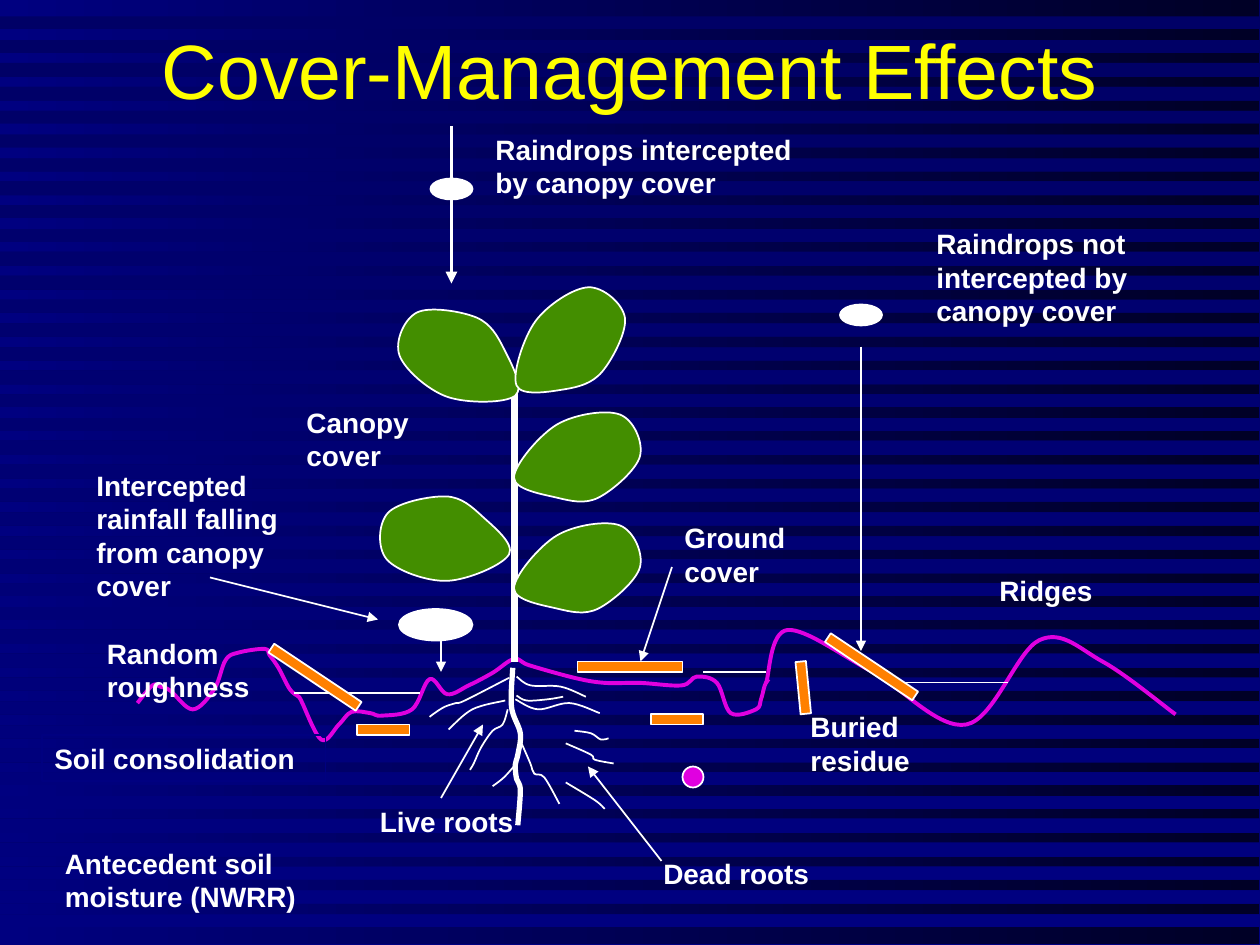
from typing import NamedTuple

from pptx import Presentation
from pptx.dml.color import RGBColor
from pptx.enum.dml import MSO_FILL
from pptx.enum.shapes import MSO_CONNECTOR, MSO_SHAPE
from pptx.enum.text import MSO_ANCHOR, MSO_AUTO_SIZE, PP_ALIGN
from pptx.oxml.ns import qn
from pptx.util import Inches, Pt
from lxml.etree import SubElement

COLORS = {
    "white": "FFFFFF", "title": "FFFF00", "soil": "E000E0", "leaf": "438E00",
    "residue": "FF8000", "night": "000026", "navy": "000066", "blue": "000080",
}
CELL = Inches(1) / 12  # layout grid: 120 columns by 90 rows
FINE = Inches(0.01)  # drawing grid: 1000 columns by 750 rows
LABEL_FORMAT = {"size": Pt(16), "bold": True, "name": "Arial"}
TITLE_FORMAT = {"size": Pt(44), "bold": False, "name": "Arial"}


class Curve(NamedTuple):
    """Smooth line through knots on the drawing grid; a fill closes it."""
    knots: list
    color: str = "white"
    width: float = 1
    fill: str | None = None


class Piece(NamedTuple):
    preset: MSO_SHAPE
    col: float
    row: float
    cols: float
    rows: float
    fill: str
    rotation: float = 0


class Line(NamedTuple):
    start: tuple
    end: tuple
    width: float = 1
    arrow: bool = True


class Label(NamedTuple):
    words: str
    col: float
    row: float
    cols: float
    rows: float
    outline: str | None = None


SIDE_LEAF = [(408, 467), (442, 425), (492, 417), (508, 450), (475, 483), (442, 483)]
ROUGHNESS = [
    (109, 558), (121, 544), (127, 545), (135, 548), (153, 563), (170, 547), (179, 524),
    (189, 518), (210, 515), (214, 520), (221, 530), (230, 547), (237, 553), (239, 556),
    (255, 587), (269, 575), (279, 565), (294, 566), (303, 568), (327, 563), (341, 539),
    (355, 551), (372, 544), (391, 534), (408, 523), (420, 528), (456, 538), (480, 542),
    (508, 542), (541, 544), (553, 537), (569, 542), (580, 566), (600, 563), (604, 555),
    (607, 544), (610, 539),
]
RIDGES = [(608, 542), (625, 500), (692, 533), (767, 575), (825, 508), (875, 525), (933, 567)]
TAPROOT = [(407, 530), (406, 561), (413, 582), (411, 599), (409, 607), (410, 618),
           (413, 627), (411, 655)]
LIVE_ROOTS = [
    [(403, 563), (399, 575), (391, 580), (382, 593), (376, 606), (373, 611)],
    [(414, 590), (421, 606), (424, 614), (432, 617), (444, 638)],
    [(410, 537), (421, 544), (445, 545), (465, 553)],
    [(404, 538), (369, 556), (362, 558), (353, 561), (345, 566), (341, 569)],
    [(401, 556), (375, 563), (356, 579)],
    [(409, 555), (427, 563), (452, 558), (476, 566)],
    [(410, 552), (418, 556), (435, 555), (447, 553)],
    [(409, 607), (400, 617), (391, 624)],
]
DEAD_ROOTS = [
    [(449, 590), (469, 599), (472, 603), (487, 606)],
    [(449, 621), (472, 635), (480, 642)],
    [(456, 580), (469, 582), (477, 587), (483, 586)],
]
LEAVES = [
    SIDE_LEAF,
    [(404, 440), (355, 461), (307, 444), (308, 407), (354, 394), (383, 410)],
    [(x, y - 88) for x, y in SIDE_LEAF],
    [(409, 314), (355, 315), (317, 282), (331, 248), (378, 252), (400, 277)],
    [(410, 306), (425, 255), (467, 228), (496, 252), (478, 295), (448, 309)],
]
CURVES = [
    Curve(ROUGHNESS, "soil", 2.25),
    Curve(RIDGES, "soil", 2.25),
    Curve(TAPROOT, width=3),
    *(Curve(root) for root in LIVE_ROOTS + DEAD_ROOTS),
]
STEM = Line((49, 63), (49, 37), 4.5, False)
PONDED_WATER = [
    Line((28, 66), (40, 66), arrow=False),
    Line((67, 64), (73, 64), arrow=False),
    Line((85, 65), (96, 65), arrow=False),
]
ARROWS = [
    Line((82, 33), (82, 62), 1.5),
    Line((42, 61), (42, 64)),
    Line((43, 12), (43, 27), 2.25),
    Line((20, 55), (36, 59)),
    Line((64, 54), (61, 63)),
    Line((63, 82), (56, 73)),
    Line((42, 76), (46, 69)),
]
PIECES = [
    *(Piece(MSO_SHAPE.OVAL, *drop, "white")
      for drop in [(80, 29, 4, 2), (38, 58, 7, 3), (41, 17, 4, 2)]),
    Piece(MSO_SHAPE.OVAL, 65, 73, 2, 2, "soil"),
    *(Piece(MSO_SHAPE.RECTANGLE, col, row, cols, 1, "residue", rotation)
      for col, row, cols, rotation in [
          (55, 63, 10, 0), (62, 68, 5, 0), (25, 64, 10, 33.7),
          (78, 63, 10, 33.7), (34, 69, 5, 0), (74, 65, 5, 84.4)]),
]
LABELS = [
    Label("Raindrops intercepted by canopy cover", 46, 12, 32, 7.7),
    Label("Raindrops not intercepted by canopy cover", 88, 21, 25, 15.7),
    Label("Intercepted rainfall falling from canopy cover", 8, 44, 20, 14),
    Label("Canopy cover", 28, 38, 15, 7.7),
    Label("Ground cover", 64, 49, 14, 7.7),
    Label("Ridges", 94, 54, 13, 4.4),
    Label("Buried residue", 76, 67, 16, 7.7),
    Label("Dead roots", 62, 81, 18, 4.4),
    Label("Live roots", 35, 76, 18, 4.4),
    Label("Antecedent soil moisture (NWRR)", 5, 80, 25, 7.7),
    Label("Soil consolidation", 4, 70, 27, 4.4, "blue"),
    Label("Random roughness", 9, 60, 17, 7.7),
]


def rgb(color: str) -> RGBColor:
    return RGBColor.from_string(COLORS[color])


def cells(*counts: float) -> list[int]:
    return [round(count * CELL) for count in counts]


def set_gradient(fill, first: str, last: str, angle: float) -> None:
    fill.gradient()
    fill.gradient_angle = angle
    for stop, color in zip(fill.gradient_stops, (first, last)):
        stop.color.rgb = rgb(color)


def paint(shape, fill: str | None, outline: str | None, width: float = 1) -> None:
    shape.shadow.inherit = False
    if fill:
        shape.fill.solid()
        shape.fill.fore_color.rgb = rgb(fill)
    else:
        shape.fill.background()
    if outline:
        shape.line.color.rgb = rgb(outline)
        shape.line.width = Pt(width)
    else:
        shape.line.fill.background()


def add_outline(shapes, points: list, closed: bool):
    builder = shapes.build_freeform(*points[0], scale=FINE)
    builder.add_line_segments(points[1:], close=closed)
    return builder.convert_to_shape()


def draw_curve(shapes, curve: Curve) -> None:
    """Turn the straight segments between knots into Catmull-Rom Béziers."""
    closed = curve.fill is not None
    knots = curve.knots + curve.knots[:1] if closed else curve.knots
    shape = add_outline(shapes, knots, False)
    left, top = (min(axis) for axis in zip(*knots))
    before, after = (knots[-2], knots[1]) if closed else (knots[0], knots[-1])
    padded = [before, *knots, after]
    outline = next(shape._element.iter(qn("a:path")))
    for segment, (a, b, c, d) in zip(outline.findall(qn("a:lnTo")),
                                     zip(padded, padded[1:], padded[2:], padded[3:])):
        bezier = SubElement(outline, qn("a:cubicBezTo"))
        outline.replace(segment, bezier)
        controls = ([q + (r - p) / 6 for p, q, r in zip(a, b, c)],
                    [q - (r - p) / 6 for p, q, r in zip(b, c, d)], c)
        for x, y in controls:
            SubElement(bezier, qn("a:pt"), x=str(round((x - left) * FINE)),
                       y=str(round((y - top) * FINE)))
    if closed:
        SubElement(outline, qn("a:close"))
    # Path units are EMU so that control points keep their precision.
    outline.set("w", str(shape.width))
    outline.set("h", str(shape.height))
    start = outline.find(qn("a:moveTo")).find(qn("a:pt"))
    start.set("x", str((knots[0][0] - left) * FINE))
    start.set("y", str((knots[0][1] - top) * FINE))
    paint(shape, curve.fill, curve.color, curve.width)


def draw_piece(shapes, piece: Piece) -> None:
    shape = shapes.add_shape(piece.preset, *cells(*piece[1:5]))
    shape.rotation = piece.rotation
    paint(shape, piece.fill, "white")


def draw_line(shapes, line: Line) -> None:
    connector = shapes.add_connector(MSO_CONNECTOR.STRAIGHT, *cells(*line.start, *line.end))
    connector.line.color.rgb = rgb("white")
    connector.line.width = Pt(line.width)
    if line.arrow:
        SubElement(connector.line._get_or_add_ln(), qn("a:tailEnd"), type="triangle")
    SubElement(connector._element.spPr, qn("a:effectLst"))


def draw_label(shapes, label: Label, text_format: dict = LABEL_FORMAT, color: str = "white"):
    box = shapes.add_textbox(*cells(*label[1:5]))
    if label.outline:
        paint(box, None, label.outline)
    frame = box.text_frame
    frame.word_wrap = True
    frame.auto_size = MSO_AUTO_SIZE.SHAPE_TO_FIT_TEXT
    run = frame.paragraphs[0].add_run()
    run.text = label.words
    run.font.color.rgb = rgb(color)
    for attribute, value in text_format.items():
        setattr(run.font, attribute, value)
    return frame


def draw_backdrop(slide) -> None:
    set_gradient(slide.background.fill, "navy", "blue", 270)
    night = slide.shapes.add_shape(MSO_SHAPE.RECTANGLE, 0, 0, *cells(119.9, 89.9))
    comb = []
    for band in range(39):
        top = 13 + 18.75 * band
        comb += [(1000, top), (0, top), (0, top + 10.4), (1000, top + 10.4)]
    stripes = add_outline(slide.shapes, comb, True)
    for shape, first, angle in ((night, "night", 180), (stripes, "navy", 270)):
        paint(shape, None, None)
        set_gradient(shape.fill, first, "blue", angle)


def main() -> None:
    deck = Presentation()
    deck.slide_width, deck.slide_height = cells(120, 90)
    slide = deck.slides.add_slide(deck.slide_layouts[6])
    shapes = slide.shapes
    draw_backdrop(slide)
    title = draw_label(shapes, Label("Cover-Management Effects", 9, 0, 102, 13),
                       TITLE_FORMAT, "title")
    title.auto_size = MSO_AUTO_SIZE.NONE
    title.vertical_anchor = MSO_ANCHOR.MIDDLE
    title.paragraphs[0].alignment = PP_ALIGN.CENTER
    leaves = [Curve(knots, fill="leaf") for knots in LEAVES]
    for draw, items in ((draw_curve, CURVES[:2]), (draw_line, [STEM]),
                        (draw_curve, CURVES[2:] + leaves),
                        (draw_line, PONDED_WATER + ARROWS),
                        (draw_piece, PIECES), (draw_label, LABELS)):
        for item in items:
            draw(shapes, item)
    deck.save("out.pptx")


if __name__ == "__main__":
    main()
